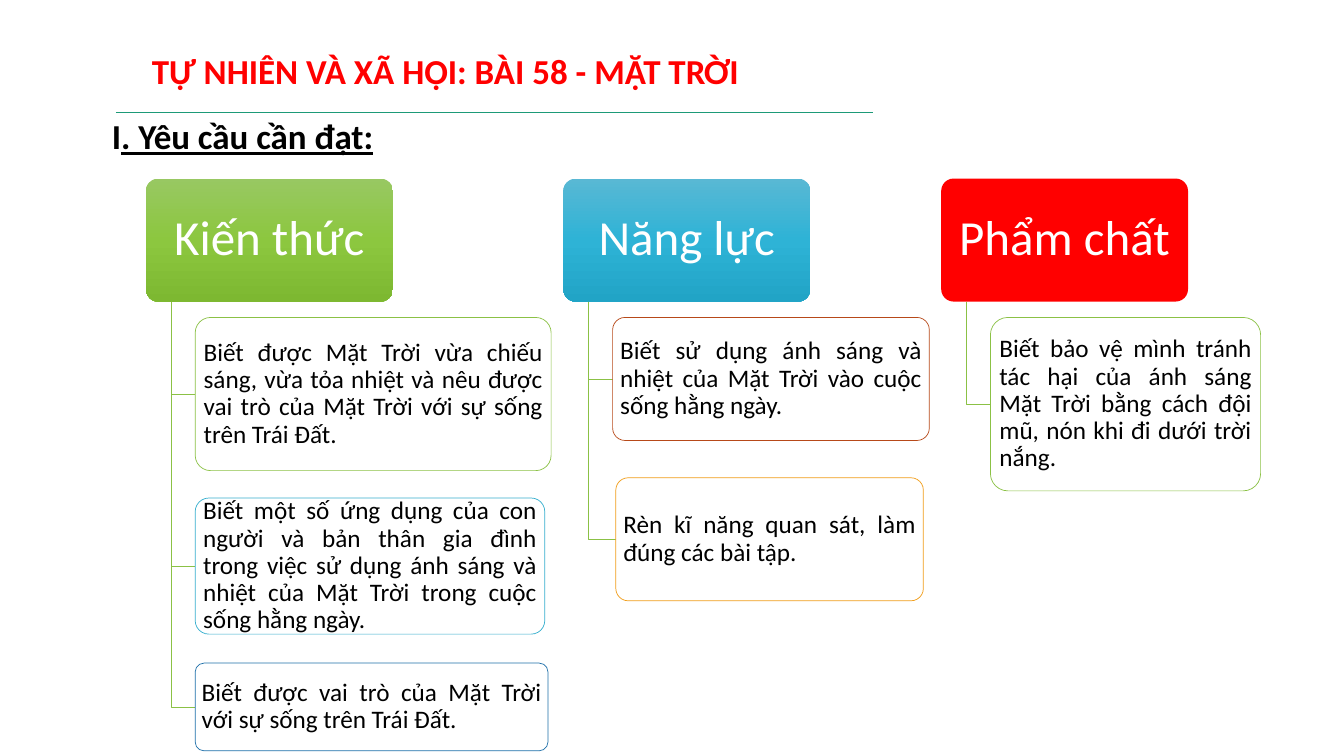
from copy import deepcopy

from lxml import etree
from pptx import Presentation
from pptx.dml.color import RGBColor
from pptx.enum.shapes import MSO_CONNECTOR, MSO_SHAPE
from pptx.enum.text import MSO_ANCHOR, PP_ALIGN
from pptx.oxml.ns import qn
from pptx.util import Cm, Pt

ROUND = MSO_SHAPE.ROUNDED_RECTANGLE
STRAIGHT = MSO_CONNECTOR.STRAIGHT
MIDDLE = MSO_ANCHOR.MIDDLE
LEFT, CENTER, JUSTIFY = PP_ALIGN.LEFT, PP_ALIGN.CENTER, PP_ALIGN.JUSTIFY

FONT = "Calibri"
COLORS = {
    "white": "FFFFFF", "black": "000000", "red": "FF0000", "rule": "1D9A78",
    "green": "8BC145", "teal": "36AFCE", "blue": "1D6FA9",
    "rust": "B74919", "amber": "F19D19",
    "lime1": "98C862", "lime2": "8CC73F", "lime3": "7DB831",
    "sky1": "59B8D4", "sky2": "2EB3D6", "sky3": "21A4C6",
}

TITLES = [
    ((3.58, 1.12, 20.24, 1.32), "red",
     [("TỰ NHIÊN VÀ XÃ HỘI: BÀI 58 - MẶT TRỜI", False)]),
    ((2.57, 2.77, 29.46, 1.32), "black",
     [("I", False), (". Yêu cầu cần đạt:", True)]),
]

GOALS = [
    ("Kiến thức", 3.68, ("lime1", "lime2", "lime3"), [
        ("Biết được Mặt Trời vừa chiếu sáng, vừa tỏa nhiệt và nêu được vai trò "
         "của Mặt Trời với sự sống trên Trái Đất.", "green", 1.24, 8, 8.97, 3.86),
        ("Biết một số ứng dụng của con người và bản thân gia đình trong việc "
         "sử dụng ánh sáng và nhiệt của Mặt Trời trong cuộc sống hằng ngày.",
         "teal", 1.24, 12.55, 8.81, 3.43),
        ("Biết được vai trò của Mặt Trời với sự sống trên Trái Đất.",
         "blue", 1.24, 16.71, 8.89, 2.21),
    ]),
    ("Năng lực", 14.2, ("sky1", "sky2", "sky3"), [
        ("Biết sử dụng ánh sáng và nhiệt của Mặt Trời vào cuộc sống hằng ngày.",
         "rust", 1.24, 8, 7.98, 3.1),
        ("Rèn kĩ năng quan sát, làm đúng các bài tập.",
         "amber", 1.32, 12.04, 7.75, 3.1),
    ]),
    ("Phẩm chất", 23.72, ("red",), [
        ("Biết bảo vệ mình tránh tác hại của ánh sáng Mặt Trời bằng cách đội mũ, "
         "nón khi đi dưới trời nắng.", "green", 1.24, 8, 6.81, 4.37),
    ]),
]

HEAD_TOP, HEAD_W, HEAD_H = 4.5, 6.22, 3.1
STEM = 0.63


def rgb(name):
    return RGBColor.from_string(COLORS[name])


def write(frame, runs, size, color, align, bold=False):
    frame.word_wrap = True
    para = frame.paragraphs[0]
    para.alignment = align
    for text, under in runs:
        run = para.add_run()
        run.text = text
        font = run.font
        font.name, font.size, font.bold = FONT, Pt(size), bold
        font.color.rgb = rgb(color)
        if under:
            font.underline = True


def paint(shape, names):
    fill = shape.fill
    if len(names) == 1:
        fill.solid()
        fill.fore_color.rgb = rgb(names[0])
        return
    fill.gradient()
    fill.gradient_angle = 270
    stops = shape._element.spPr.find(qn("a:gradFill")).find(qn("a:gsLst"))
    stops.insert(1, deepcopy(stops[0]))
    for i, (stop, name) in enumerate(zip(fill.gradient_stops, names)):
        stop.position = i / (len(names) - 1)
        stop.color.rgb = rgb(name)


def edge(shape, name):
    shape.line.color.rgb = rgb(name)
    shape.line.width = Pt(0.5)


def card(shapes, box, names, text, size, color, align, pad):
    shape = shapes.add_shape(ROUND, *map(Cm, box))
    shape.shadow.inherit = False
    shape.adjustments[0] = 0.1
    paint(shape, names)
    shape.line.fill.background()
    frame = shape.text_frame
    frame.vertical_anchor = MIDDLE
    frame.margin_left = frame.margin_right = Cm(pad[0])
    frame.margin_top = frame.margin_bottom = Cm(pad[1])
    write(frame, [(text, False)], size, color, align)
    frame.paragraphs[0].line_spacing = 0.9
    return shape


def branch(shapes, x, top, end, mid):
    pen = shapes.build_freeform(Cm(x), Cm(top))
    pen.add_line_segments([(Cm(x), Cm(mid)), (Cm(end), Cm(mid))], close=False)
    shape = pen.convert_to_shape()
    shape.shadow.inherit = False
    shape.fill.background()
    edge(shape, "green")


def main():
    deck = Presentation()
    deck.slide_width, deck.slide_height = Cm(33.87), Cm(19.05)
    slide = deck.slides.add_slide(deck.slide_layouts[6])
    shapes = slide.shapes

    for box, color, runs in TITLES:
        label = shapes.add_textbox(*map(Cm, box))
        write(label.text_frame, runs, 25, color, LEFT, True)

    rule = shapes.add_connector(STRAIGHT, Cm(2.92), Cm(2.82), Cm(22), Cm(2.82))
    edge(rule, "rule")
    etree.SubElement(rule._element.spPr, qn("a:effectLst"))

    base = HEAD_TOP + HEAD_H
    for head, x, names, items in GOALS:
        card(shapes, (x, HEAD_TOP, HEAD_W, HEAD_H), names, head, 35,
             "white", CENTER, (0.18, 0.12))
        for text, color, shift, top, wide, high in items:
            left = x + shift
            branch(shapes, x + STEM, base, left, top + high / 2)
            note = card(shapes, (left, top, wide, high), ("white",), text, 18,
                        "black", JUSTIFY, (0.1, 0.07))
            edge(note, color)

    deck.save("out.pptx")


if __name__ == "__main__":
    main()
